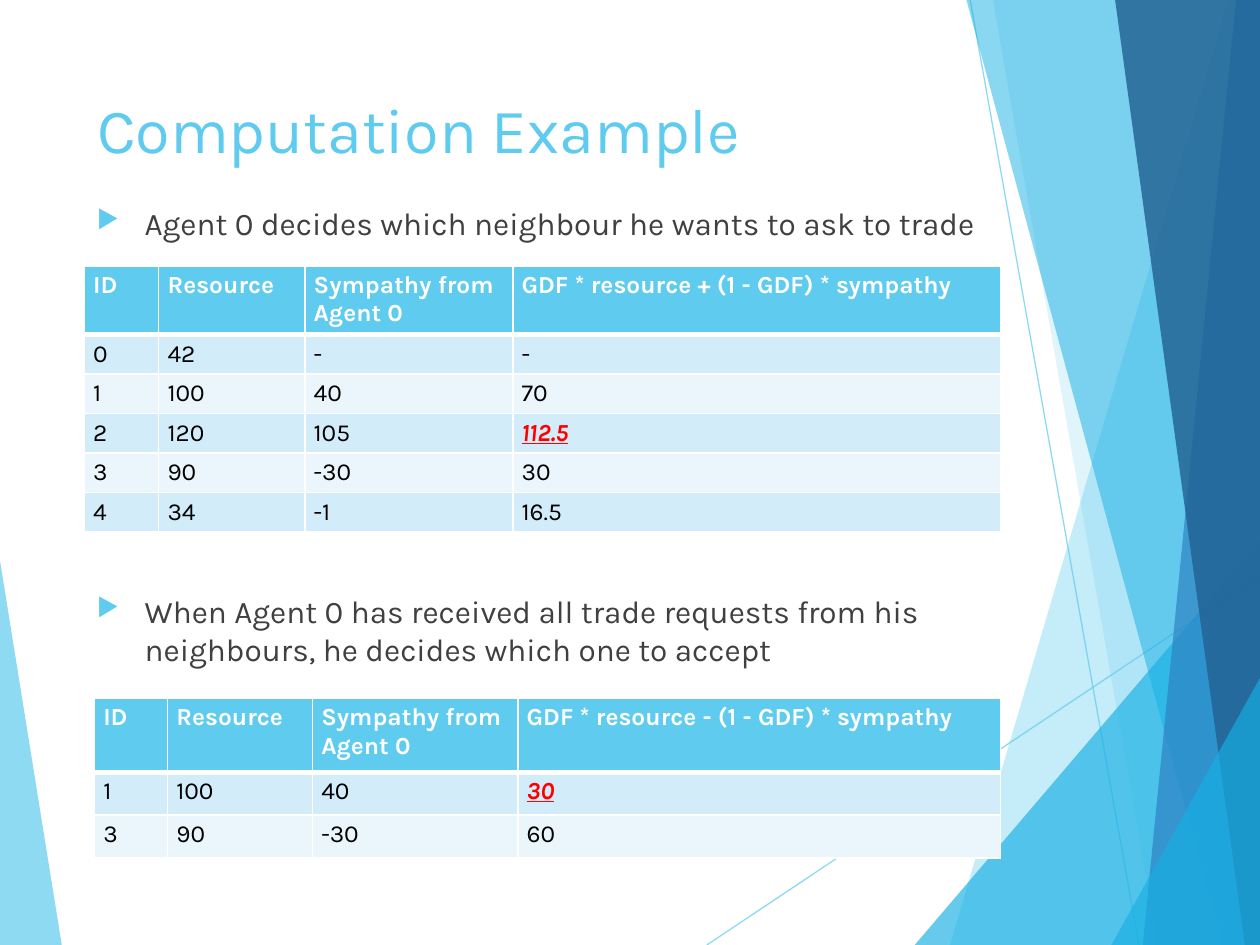
from lxml.etree import SubElement
from pptx import Presentation
from pptx.dml.color import RGBColor
from pptx.enum.text import MSO_ANCHOR, PP_ALIGN
from pptx.oxml import parse_xml
from pptx.oxml.ns import nsdecls, qn
from pptx.util import Inches, Pt

FONT = "Karla"
ACCENT, SKY, INK = "5FCBEF", "17B0E4", "404040"
BANDS = ("D2ECF9", "EAF6FC")

TITLE = "Computation Example"
BULLETS = [
    ("Agent 0 decides which neighbour he wants to ask to trade", 10),
    ("When Agent 0 has received all trade requests from his neighbours, "
     "he decides which one to accept", 200),
]
TABLES = [
    dict(left=0.67, top=2.11, columns=(0.59, 1.16, 1.65, 3.87),
         header_height=0.54, row_height=0.31, chosen="112.5",
         rows=[("ID", "Resource", "Sympathy from Agent 0", "GDF * resource + (1 - GDF) * sympathy"),
               ("0", "42", "-", "-"),
               ("1", "100", "40", "70"),
               ("2", "120", "105", "112.5"),
               ("3", "90", "-30", "30"),
               ("4", "34", "-1", "16.5")]),
    dict(left=0.75, top=5.54, columns=(0.58, 1.15, 1.63, 3.83),
         header_height=0.59, row_height=0.34, chosen="30",
         rows=[("ID", "Resource", "Sympathy from Agent 0", "GDF * resource - (1 - GDF) * sympathy"),
               ("1", "100", "40", "30"),
               ("3", "90", "-30", "60")]),
]
LEFT_FACET = [([(0, 4.45), (0.49, 7.5), (0, 7.5)], ACCENT, 70)]
RAYS = [((5.61, 7.5), (10, 4.57)), ((7.7, 0), (9.04, 7.5))]
RIGHT_FACETS = [
    ([(9.75, 0), (7.54, 7.5), (10, 7.5), (10, 0)], ACCENT, 36),
    ([(7.88, 0), (9.19, 7.5), (10, 7.5), (10, 0)], ACCENT, 20),
    ([(7.26, 7.5), (10, 4.29), (10, 7.5)], SKY, 66),
    ([(7.67, 0), (9.7, 7.5), (10, 7.5), (10, 0)], SKY, 50),
    ([(9.81, 0), (9.07, 7.5), (10, 7.5), (10, 0)], "2E83C3", 70),
    ([(8.85, 0), (9.88, 7.5), (10, 7.5), (10, 0)], "226292", 82),
    ([(8.82, 7.5), (10, 5.38), (10, 7.5)], SKY, 66),
]


def color(value):
    """Turn a hex string into a colour."""
    return RGBColor.from_string(value)


def set_opacity(element, percent):
    """Set the opacity of the first solid colour inside an element."""
    srgb = next(element.iter(qn("a:srgbClr")))
    SubElement(srgb, qn("a:alpha"), val=str(percent * 1000))


def style(paragraph, size, value, bold=False):
    """Format every run of a paragraph."""
    for run in paragraph.runs:
        run.font.name = FONT
        run.font.size = Pt(size)
        run.font.bold = bold
        run.font.color.rgb = color(value)


def add_facets(slide, facets):
    """Draw translucent polygons."""
    for points, value, opacity in facets:
        corners = [(Inches(x), Inches(y)) for x, y in points]
        builder = slide.shapes.build_freeform(*corners[0])
        builder.add_line_segments(corners[1:], close=True)
        facet = builder.convert_to_shape()
        facet.shadow.inherit = False
        facet.line.fill.background()
        facet.fill.solid()
        facet.fill.fore_color.rgb = color(value)
        set_opacity(facet.fill._xPr, opacity)


def add_rays(slide):
    """Draw the thin translucent lines."""
    for start, end in RAYS:
        ray = slide.shapes.add_connector(1, *(Inches(v) for v in start + end))
        ray.line.color.rgb = color(ACCENT)
        ray.line.width = Pt(0.75)
        properties = ray._element.spPr
        set_opacity(properties, 70)
        SubElement(properties, qn("a:effectLst"))


def add_title(slide):
    """Place and format the title."""
    title = slide.shapes.title
    title.left, title.top, title.width, title.height = map(Inches, (0.67, 0.67, 6.94, 1.44))
    title.text_frame.text = TITLE
    title.text_frame.vertical_anchor = MSO_ANCHOR.TOP
    heading = title.text_frame.paragraphs[0]
    heading.alignment = PP_ALIGN.LEFT
    style(heading, 36, ACCENT)


def add_bullets(slide):
    """Write the two statements that introduce the tables."""
    box = slide.shapes.add_textbox(*map(Inches, (0.67, 1.57, 7.27, 4.24)))
    frame = box.text_frame
    frame.word_wrap = True
    frame.text = "\n".join(text for text, _ in BULLETS)
    for paragraph, (_, space) in zip(frame.paragraphs, BULLETS):
        paragraph.space_before = Pt(space)
        style(paragraph, 18, INK)
        properties = paragraph._p.get_or_add_pPr()
        properties.set("marL", str(Inches(0.38)))
        properties.set("indent", str(-Inches(0.38)))
        tint = SubElement(properties, qn("a:buClr"))
        SubElement(tint, qn("a:srgbClr"), val=ACCENT)
        SubElement(properties, qn("a:buSzPct"), val="80000")
        SubElement(properties, qn("a:buChar"), char="\u25b6")


def add_borders(cell, bottom):
    """Give a cell white borders."""
    properties = cell._tc.get_or_add_tcPr()
    for place, (side, width) in enumerate(zip("LRTB", (1, 1, 1, bottom))):
        properties.insert(place, parse_xml(
            f'<a:ln{side} {nsdecls("a")} w="{Pt(width)}"><a:solidFill>'
            f'<a:srgbClr val="FFFFFF"/></a:solidFill></a:ln{side}>'))


def add_scores(slide, left, top, columns, header_height, row_height, chosen, rows):
    """Build one table and mark the chosen score."""
    heights = [header_height] + [row_height] * (len(rows) - 1)
    table = slide.shapes.add_table(
        len(rows), len(columns),
        *map(Inches, (left, top, sum(columns), sum(heights)))).table
    for column, width in zip(table.columns, columns):
        column.width = Inches(width)
    for r, (values, height) in enumerate(zip(rows, heights)):
        table.rows[r].height = Inches(height)
        for c, value in enumerate(values):
            cell = table.cell(r, c)
            header = r == 0
            winner = c == len(columns) - 1 and value == chosen
            cell.margin_left = cell.margin_right = Inches(0.07)
            cell.margin_top = cell.margin_bottom = Inches(0.04)
            cell.fill.solid()
            cell.fill.fore_color.rgb = color(ACCENT if header else BANDS[(r - 1) % 2])
            add_borders(cell, 3 if header else 1)
            cell.text_frame.text = value
            paragraph = cell.text_frame.paragraphs[0]
            ink = "FFFFFF" if header else "FF0000" if winner else "000000"
            style(paragraph, 14, ink, header or winner)
            if winner:
                paragraph.runs[0].font.italic = True
                paragraph.runs[0].font.underline = True


presentation = Presentation()
presentation.slide_width, presentation.slide_height = Inches(10), Inches(7.5)
slide = presentation.slides.add_slide(presentation.slide_layouts[5])
add_facets(slide, LEFT_FACET)
add_rays(slide)
add_facets(slide, RIGHT_FACETS)
add_title(slide)
add_bullets(slide)
for scores in TABLES:
    add_scores(slide, **scores)
presentation.save("out.pptx")
